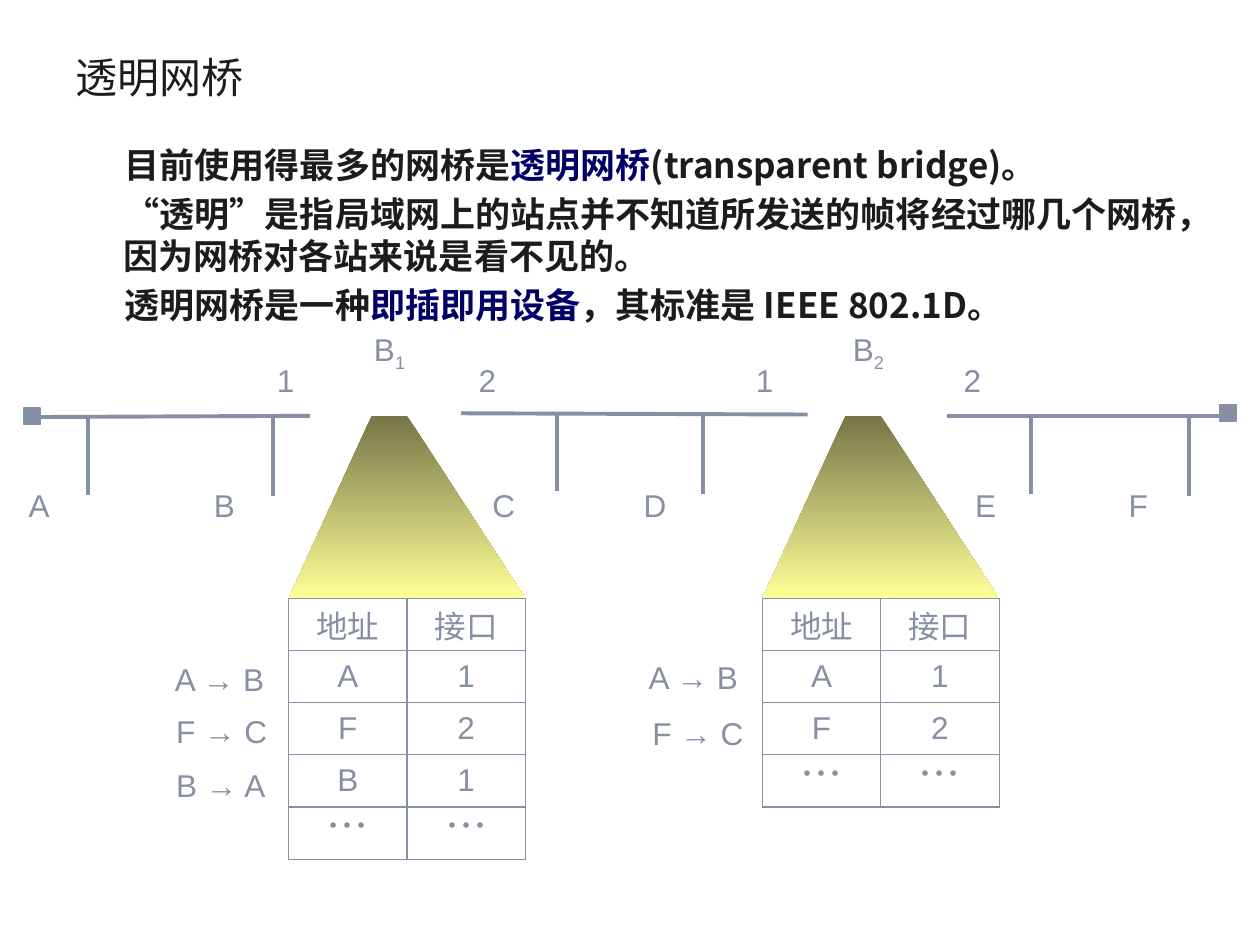
from dataclasses import dataclass

from lxml.etree import SubElement
from pptx import Presentation
from pptx.dml.color import RGBColor as Rgb
from pptx.enum.shapes import MSO_CONNECTOR as Connector, MSO_SHAPE as Preset
from pptx.enum.text import MSO_ANCHOR as Anchor, MSO_AUTO_SIZE as AutoSize, PP_ALIGN as Align
from pptx.oxml.ns import qn
from pptx.util import Inches, Pt


@dataclass(frozen=True)
class Theme:
    text_font: str = "Noto Sans CJK SC"
    label_font: str = "Arial"
    ink: str = "1C1C1C"
    accent: str = "000066"
    diagram: str = "878FA5"
    beam_top: str = "767647"
    beam_bottom: str = "FFFF99"
    title_size: int = 24
    body_size: int = 20
    body_leading: int = 24
    body_gap: int = 4
    label_size: int = 18
    dots_size: int = 24
    bus_width: float = 2.25
    grid_width: float = 0.75


class SlideBuilder:
    def __init__(self, slide, theme):
        self.slide, self.shapes, self.theme = slide, slide.shapes, theme

    def add_run(self, para, text, size, color, font, bold=False, base=None):
        span = para.add_run()
        span.text = text
        span.font.size, span.font.bold, span.font.name = Pt(size), bold, font
        span.font.color.rgb = Rgb.from_string(color)
        properties = span.font._element
        SubElement(properties, qn("a:ea")).set("typeface", self.theme.text_font)
        if base:
            properties.set("baseline", str(base))

    def place(self, shape, left, top, width, height):
        shape.left, shape.top = Inches(left), Inches(top)
        shape.width, shape.height = Inches(width), Inches(height)

    def title(self, text, *bounds):
        theme, box = self.theme, self.shapes.title
        self.place(box, *bounds)
        box.text_frame.vertical_anchor = Anchor.MIDDLE
        para = box.text_frame.paragraphs[0]
        para.alignment = Align.LEFT
        self.add_run(para, text, theme.title_size, theme.ink, theme.text_font)

    def body(self, paragraphs, *bounds):
        theme, box = self.theme, self.slide.placeholders[1]
        self.place(box, *bounds)
        frame = box.text_frame
        frame.auto_size = AutoSize.NONE
        frame.margin_top = Inches(0.07)
        for index, runs in enumerate(paragraphs):
            para = frame.add_paragraph() if index else frame.paragraphs[0]
            properties = para._p.get_or_add_pPr()
            properties.set("marL", str(Inches(0.38)))
            properties.set("indent", str(Inches(0.01)))
            SubElement(properties, qn("a:buNone"))
            para.line_spacing = Pt(theme.body_leading)
            para.space_before = Pt(theme.body_gap if index else 0)
            for text, color in runs:
                self.add_run(para, text, theme.body_size, color, theme.text_font, bold=True)

    def label(self, text, left, top, width=0.36, subscript=""):
        theme = self.theme
        box = self.shapes.add_textbox(Inches(left), Inches(top), Inches(width), Inches(0.4))
        box.text_frame.word_wrap = False
        para = box.text_frame.paragraphs[0]
        self.add_run(para, text, theme.label_size, theme.diagram, theme.label_font)
        if subscript:
            self.add_run(para, subscript, theme.label_size, theme.diagram,
                         theme.label_font, base=-25000)

    def line(self, *ends):
        line = self.shapes.add_connector(Connector.STRAIGHT, *map(Inches, ends))
        line.line.color.rgb = Rgb.from_string(self.theme.diagram)
        line.line.width = Pt(self.theme.bus_width)
        SubElement(line._element.spPr, qn("a:effectLst"))

    def terminator(self, left, top, side=0.13):
        square = self.shapes.add_shape(Preset.RECTANGLE, *map(Inches, (left, top, side, side)))
        square.shadow.inherit = False
        square.fill.solid()
        square.fill.fore_color.rgb = Rgb.from_string(self.theme.diagram)
        square.line.color.rgb = Rgb.from_string(self.theme.diagram)
        square.line.width = Pt(1)

    def beam(self, points):
        corners = [(Inches(x), Inches(y)) for x, y in points]
        outline = self.shapes.build_freeform(*corners[0])
        outline.add_line_segments(corners[1:], close=True)
        shape = outline.convert_to_shape()
        shape.shadow.inherit = False
        shape.line.fill.background()
        shape.fill.gradient()
        shape.fill.gradient_angle = 270
        stops = zip(shape.fill.gradient_stops, (self.theme.beam_top, self.theme.beam_bottom))
        for position, (stop, color) in enumerate(stops):
            stop.position = position
            stop.color.rgb = Rgb.from_string(color)

    def border(self, cell):
        properties = cell._tc.get_or_add_tcPr()
        for index, side in enumerate(("lnL", "lnR", "lnT", "lnB")):
            edge = properties.makeelement(qn(f"a:{side}"), {"w": str(Pt(self.theme.grid_width))})
            fill = SubElement(edge, qn("a:solidFill"))
            SubElement(fill, qn("a:srgbClr")).set("val", self.theme.diagram)
            properties.insert(index, edge)

    def table(self, rows, left, top, width, row_height):
        theme = self.theme
        bounds = map(Inches, (left, top, width, row_height * len(rows)))
        table = self.shapes.add_table(len(rows), len(rows[0]), *bounds).table
        table.first_row = table.horz_banding = False
        for row, texts in zip(table.rows, rows):
            row.height = Inches(row_height)
            for cell, text in zip(row.cells, texts):
                cell.margin_left = cell.margin_right = cell.margin_top = cell.margin_bottom = 0
                cell.vertical_anchor = Anchor.MIDDLE
                cell.fill.background()
                self.border(cell)
                para = cell.text_frame.paragraphs[0]
                para.alignment = Align.CENTER
                if text == "…":
                    para.line_spacing = Pt(theme.dots_size)
                    self.add_run(para, text, theme.dots_size, theme.diagram, theme.text_font)
                else:
                    self.add_run(para, text, theme.label_size, theme.diagram, theme.label_font)


def main():
    deck = Presentation()
    deck.slide_width, deck.slide_height = Inches(10), Inches(7.5)
    theme = Theme()
    page = SlideBuilder(deck.slides.add_slide(deck.slide_layouts[1]), theme)

    # Title and explanation
    page.title("透明网桥", 0.5, 0.3, 9, 0.61)
    page.body([
        [("目前使用得最多的网桥是", theme.ink), ("透明网桥", theme.accent),
         ("(transparent bridge)。", theme.ink)],
        [("“透明”是指局域网上的站点并不知道所发送的帧将经过哪几个网桥，"
          "因为网桥对各站来说是看不见的。", theme.ink)],
        [("透明网桥是一种", theme.ink), ("即插即用设备", theme.accent),
         ("，其标准是 IEEE 802.1D。", theme.ink)],
    ], 0.5, 1.07, 9, 5.23)

    # Three network segments and their end squares
    for start, start_y, end, end_y in ((0.27, 3.31, 2.46, 3.3), (3.66, 3.28, 6.41, 3.29),
                                       (7.52, 3.3, 9.73, 3.3)):
        page.line(start, start_y, end, end_y)
    page.terminator(0.19, 3.24)
    page.terminator(9.68, 3.21)

    # Stations: name, label left, drop line position, top and bottom
    for name, left, drop, top, bottom in (
            ("A", 0.13, 0.7, 3.31, 3.93), ("B", 1.6, 2.17, 3.29, 3.94),
            ("C", 3.81, 4.42, 3.28, 3.9), ("D", 5.01, 5.58, 3.27, 3.92),
            ("E", 7.64, 8.18, 3.3, 3.92), ("F", 8.86, 9.44, 3.29, 3.94)):
        page.line(drop, top, drop, bottom)
        page.label(name, left, 3.81)

    # Bridges: names, port numbers, beams and forwarding tables
    table_top, table_width, row_height = 4.75, 1.88, 0.414
    header, dots = ("地址", "接口"), ("…", "…")
    learned = [("A", "1"), ("F", "2"), ("B", "1")]
    bridges = (("1", 2.87, (2.1, 3.7), 2.29, learned),
               ("2", 6.67, (5.9, 7.55), 6.05, learned[:2]))
    for number, name_left, ports, left, entries in bridges:
        page.label("B", name_left, 2.57, 0.46, subscript=number)
        for port, port_left in zip("12", ports):
            page.label(port, port_left, 2.82, 0.34)
        page.beam([(left, table_top), (left + 0.66, 3.3), (left + 0.94, 3.3),
                   (left + table_width, table_top)])
        page.table([header, *entries, dots], left, table_top, table_width, row_height)

    # Frames that taught each entry
    for text, left, top in (("A → B", 1.29, 5.19), ("F → C", 1.3, 5.6), ("B → A", 1.3, 6.03),
                            ("A → B", 5.05, 5.17), ("F → C", 5.08, 5.62)):
        page.label(text, left, top, 0.92)

    deck.save("out.pptx")


if __name__ == "__main__":
    main()
